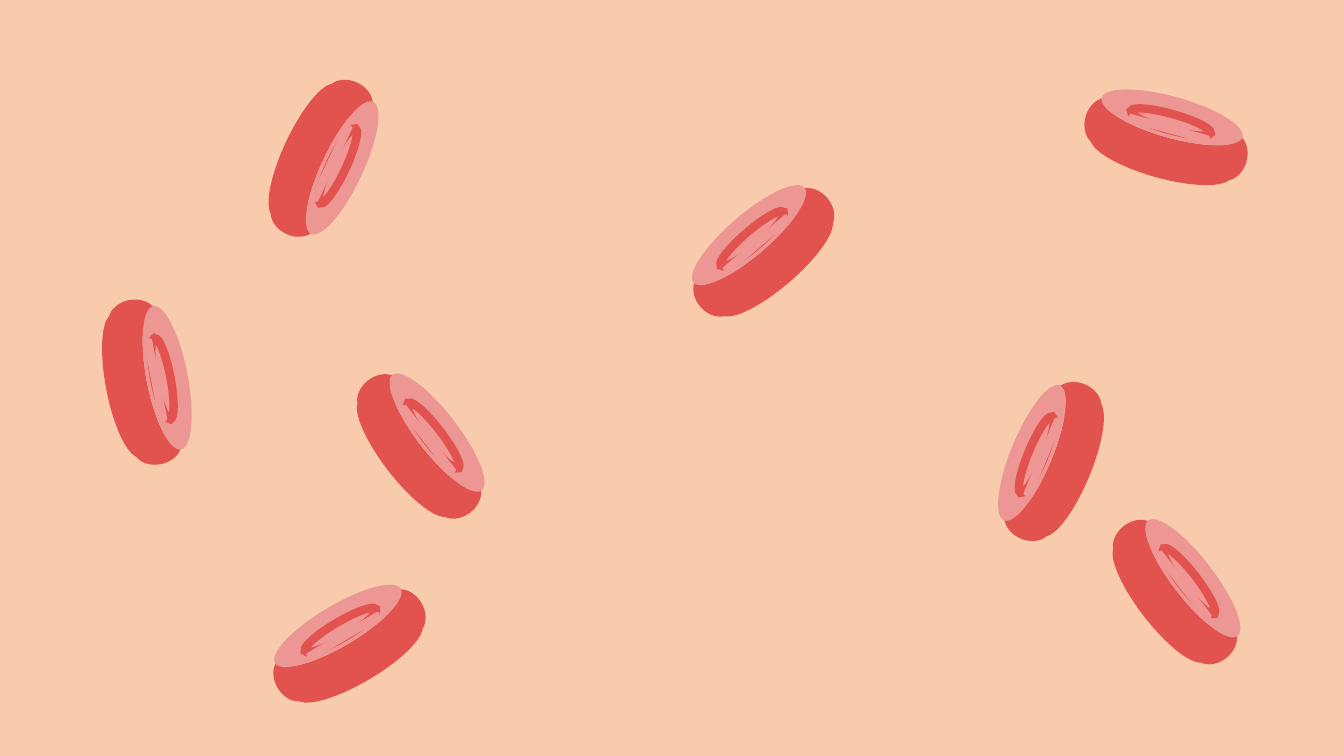
from dataclasses import dataclass

from lxml.etree import SubElement
from pptx import Presentation
from pptx.dml.color import RGBColor
from pptx.enum.shapes import MSO_SHAPE as Preset
from pptx.oxml.ns import qn
from pptx.util import Cm, Pt


@dataclass(frozen=True)
class Theme:
    backdrop: str = "F8CBAD"
    cell: str = "E2524E"
    dimple: str = "EE9795"
    ring_width: float = 6
    bar_width: float = 1


# Slide size and cell measures in centimetres
WIDTH, HEIGHT = 33.86, 19.05
END_OFFSET = 1.62

# Centre x, centre y and rotation of each blood cell
BLOOD_CELLS = [
    (10.6, 11.22, 52.3),
    (26.48, 11.61, 292.5),
    (8.15, 4.01, 115.2),
    (3.7, 9.62, 79.1),
    (8.78, 16.22, 329.4),
    (19.21, 6.32, 319.4),
    (29.39, 3.46, 15.6),
    (29.64, 14.89, 52.3),
]


class SlideBuilder:
    def __init__(self, slide, theme):
        self.slide = slide
        self.theme = theme

    def shape(self, shapes, preset, center, size, fill, line=None, line_width=0):
        """Add a flat preset shape around its centre."""
        (x, y), (width, height) = center, size
        shape = shapes.add_shape(preset, Cm(x - width / 2), Cm(y - height / 2),
                                 Cm(width), Cm(height))
        shape.shadow.inherit = False
        shape.fill.solid()
        shape.fill.fore_color.rgb = RGBColor.from_string(fill)
        if line:
            shape.line.color.rgb = RGBColor.from_string(line)
            shape.line.width = Pt(line_width)
            # Sharp line joins
            outline = shape.element.spPr.find(qn("a:ln"))
            SubElement(outline, qn("a:miter")).set("lim", "800000")
        else:
            shape.line.fill.background()
        return shape

    def backdrop(self):
        self.shape(self.slide.shapes, Preset.RECTANGLE, (WIDTH / 2, HEIGHT / 2),
                   (WIDTH, HEIGHT), self.theme.backdrop)

    def blood_cell(self, x, y, rotation):
        """Draw a level cell as a group, then turn the whole group."""
        theme = self.theme
        group = self.slide.shapes.add_group_shape()

        # Rounded ends and body
        for side in (1, -1):
            self.shape(group.shapes, Preset.OVAL, (x + side * END_OFFSET, y + 0.05),
                       (0.97, 1.24), theme.cell)
        body = self.shape(group.shapes, Preset.CAN, (x, y), (3.68, 2.08), theme.cell)
        body.adjustments[0] = 0.5

        # Dimple ring and the bar that covers its lower edge
        self.shape(group.shapes, Preset.OVAL, (x, y - 0.4), (2.08, 0.41),
                   theme.dimple, theme.cell, theme.ring_width)
        self.shape(group.shapes, Preset.ROUNDED_RECTANGLE, (x, y - 0.22), (2.08, 0.18),
                   theme.dimple, theme.dimple, theme.bar_width)
        group.rotation = rotation


def main():
    presentation = Presentation()
    slide_size = {"slide_width": Cm(WIDTH), "slide_height": Cm(HEIGHT)}
    for attribute, value in slide_size.items():
        setattr(presentation, attribute, value)

    # Blank layout with the backdrop and the scattered cells
    slide = presentation.slides.add_slide(presentation.slide_layouts[6])
    builder = SlideBuilder(slide, Theme())
    builder.backdrop()
    for x, y, rotation in BLOOD_CELLS:
        builder.blood_cell(x, y, rotation)

    presentation.save("out.pptx")


if __name__ == "__main__":
    main()
